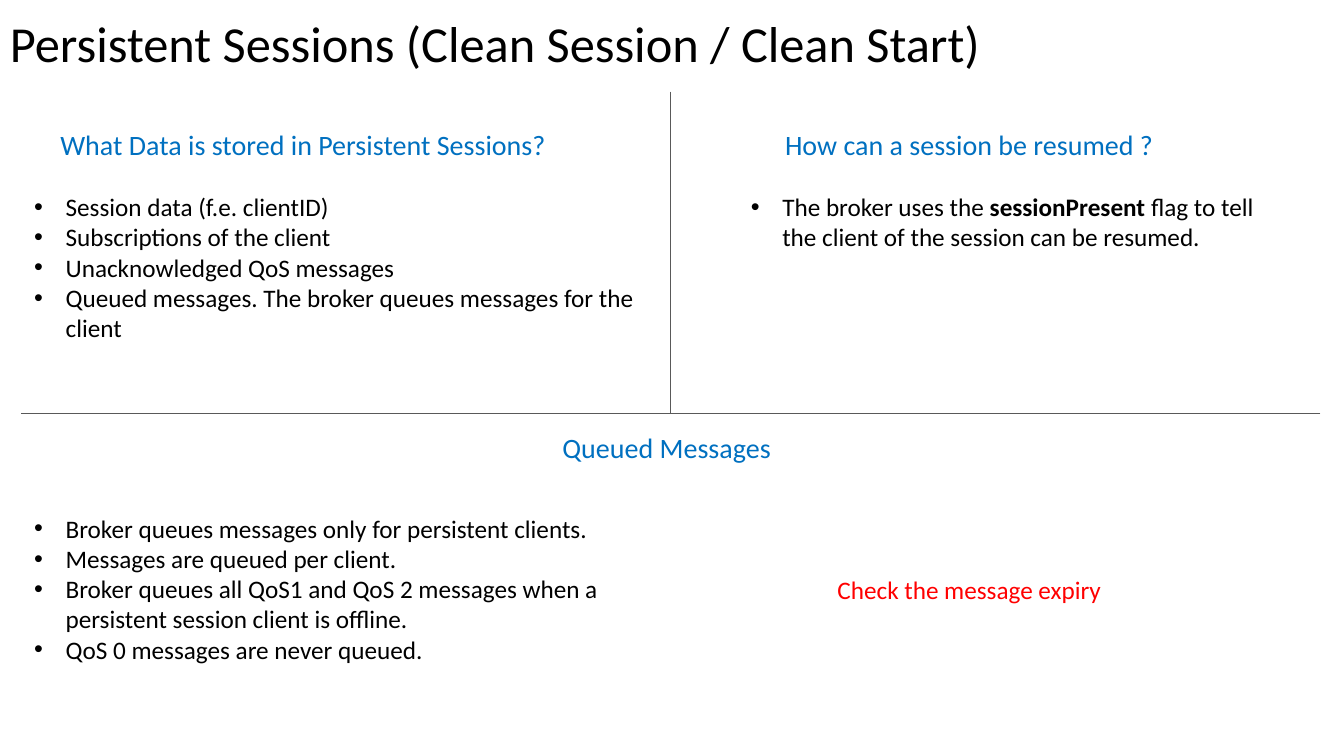
from dataclasses import dataclass

from lxml import etree
from pptx import Presentation
from pptx.dml.color import RGBColor
from pptx.enum.shapes import MSO_CONNECTOR
from pptx.enum.text import MSO_ANCHOR
from pptx.oxml.ns import qn
from pptx.util import Pt

STRAIGHT = MSO_CONNECTOR.STRAIGHT
TOP, MIDDLE = MSO_ANCHOR.TOP, MSO_ANCHOR.MIDDLE


@dataclass(frozen=True)
class Theme:
    font: str = "Calibri"
    text: RGBColor = RGBColor(0x00, 0x00, 0x00)
    heading: RGBColor = RGBColor(0x00, 0x70, 0xC0)
    warning: RGBColor = RGBColor(0xFF, 0x00, 0x00)
    divider: RGBColor = RGBColor(0x59, 0x59, 0x59)
    title_size: int = 36
    heading_size: int = 20
    body_size: int = 18


THEME = Theme()
BULLET_INDENT = 22.5

# Shared edges, in points
LIST_LEFT, LIST_WIDTH = 17.3, 454.3
HEADING_TOP, LIST_TOP = 87.8, 133.2
DIVIDER_X, DIVIDER_TOP, DIVIDER_Y = 478.8, 65.5, 295.2

STORED_DATA = [
    "Session data (f.e. clientID)",
    "Subscriptions of the client",
    "Unacknowledged QoS messages",
    "Queued messages. The broker queues messages for the client",
]
# ** marks the start and end of bold words
RESUMING = [
    "The broker uses the **sessionPresent** flag to tell the client of the session can be resumed.",
]
QUEUEING = [
    "Broker queues messages only for persistent clients.",
    "Messages are queued per client.",
    "Broker queues all QoS1 and QoS 2 messages when a persistent session client is offline.",
    "QoS 0 messages are never queued.",
]


def add_bullet(paragraph):
    properties = paragraph._p.get_or_add_pPr()
    properties.set("marL", str(Pt(BULLET_INDENT)))
    properties.set("indent", str(-Pt(BULLET_INDENT)))
    etree.SubElement(properties, qn("a:buFont"), typeface="Arial")
    etree.SubElement(properties, qn("a:buChar"), char="•")


def add_text(slide, lines, left, top, width, height, *, size=THEME.body_size,
             color=THEME.text, wrap=True, anchor=TOP, bullets=False, line_spacing=None):
    box = slide.shapes.add_textbox(Pt(left), Pt(top), Pt(width), Pt(height))
    frame = box.text_frame
    frame.word_wrap = wrap
    frame.vertical_anchor = anchor
    for index, line in enumerate(lines):
        paragraph = frame.add_paragraph() if index else frame.paragraphs[0]
        if line_spacing:
            paragraph.line_spacing = line_spacing
        if bullets:
            add_bullet(paragraph)
        for position, part in enumerate(line.split("**")):
            run = paragraph.add_run()
            run.text = part
            run.font.name = THEME.font
            run.font.size = Pt(size)
            run.font.bold = position % 2 == 1
            run.font.color.rgb = color


def add_heading(slide, text, left, top, width):
    add_text(slide, [text], left, top, width, 31.7, size=THEME.heading_size,
             color=THEME.heading, wrap=False)


def add_divider(slide, start_x, start_y, end_x, end_y):
    line = slide.shapes.add_connector(STRAIGHT, Pt(start_x), Pt(start_y), Pt(end_x), Pt(end_y))
    line.line.color.rgb = THEME.divider
    line.line.width = Pt(0.25)
    etree.SubElement(line._element.spPr, qn("a:effectLst"))


def main():
    presentation = Presentation()
    presentation.slide_width, presentation.slide_height = Pt(960), Pt(540)
    slide = presentation.slides.add_slide(presentation.slide_layouts[6])

    # Title
    add_text(slide, ["Persistent Sessions (Clean Session / Clean Start)"], 0, 0, 828, 65.5,
             size=THEME.title_size, anchor=MIDDLE, line_spacing=0.9)

    # Stored data, top left
    add_heading(slide, "What Data is stored in Persistent Sessions?", 36, HEADING_TOP, 365)
    add_text(slide, STORED_DATA, LIST_LEFT, LIST_TOP, LIST_WIDTH, 116.6, bullets=True)

    # Resuming a session, top right
    add_heading(slide, "How can a session be resumed ?", 553.7, HEADING_TOP, 280)
    add_text(slide, RESUMING, 529.2, LIST_TOP, 385.2, 51.1, bullets=True)

    # Dividers
    add_divider(slide, DIVIDER_X, DIVIDER_TOP, DIVIDER_X, DIVIDER_Y)
    add_divider(slide, 943.2, DIVIDER_Y, 15.1, DIVIDER_Y)

    # Queued messages, bottom
    add_heading(slide, "Queued Messages", 394.6, 303.8, 170)
    add_text(slide, QUEUEING, LIST_LEFT, 362.9, LIST_WIDTH, 116.6, bullets=True)
    add_text(slide, ["Check the message expiry"], 591.1, 406.8, 205.2, 28.8,
             color=THEME.warning, wrap=False)

    presentation.save("out.pptx")


if __name__ == "__main__":
    main()
